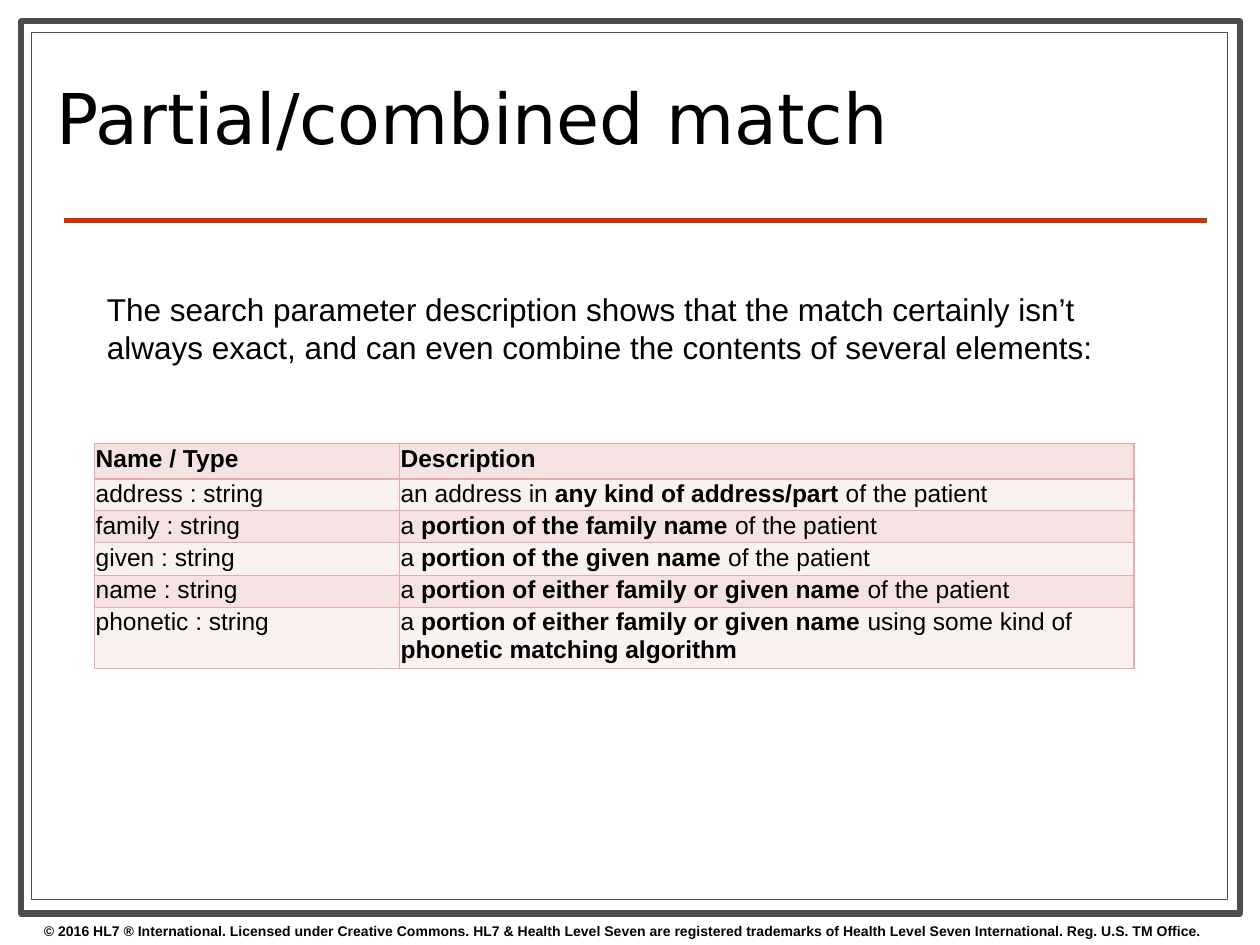
from lxml.etree import SubElement
from pptx import Presentation
from pptx.dml.color import RGBColor
from pptx.enum.shapes import MSO_CONNECTOR as LINE, MSO_SHAPE as SHAPE
from pptx.enum.text import MSO_ANCHOR as ANCHOR
from pptx.oxml.ns import qn
from pptx.util import Inches, Pt

# Content: in table cells, ** marks the bold parts
TITLE = "Partial/combined match"
INTRO = ("The search parameter description shows that the match certainly isn’t "
         "always exact, and can even combine the contents of several elements:")
FOOTER = ("© 2016 HL7 ® International. Licensed under Creative Commons. HL7 & Health "
          "Level Seven are registered trademarks of Health Level Seven International. "
          "Reg. U.S. TM Office.")
ROWS = [
    ("**Name / Type**", "**Description**"),
    ("address : string", "an address in **any kind of address/part** of the patient"),
    ("family : string", "a **portion of the family name** of the patient"),
    ("given : string", "a **portion of the given name** of the patient"),
    ("name : string", "a **portion of either family or given name** of the patient"),
    ("phonetic : string", "a **portion of either family or given name** using some kind of "
                          "**phonetic matching algorithm**"),
]
WIDTHS = [2.42, 5.83]
HEIGHTS = [0.28, 0.24, 0.24, 0.26, 0.24, 0.46]
BANDS = ["F4E3E2", "FAF1F1"]
BORDER = "E2ADAA"
FRAMES = [((0.17, 0.17, 9.67, 7.08), 3.5), ((0.25, 0.26, 9.49, 6.88), 0.75)]


def color(code):
    return RGBColor.from_string(code)


def style(run, size, bold=False, face="Arial"):
    font = run.font
    font.size, font.bold, font.name = Pt(size), bold, face
    font.color.rgb = color("000000")


def add_text(slide, box, text, size, bold=False, face="Arial"):
    frame = slide.shapes.add_textbox(*map(Inches, box)).text_frame
    frame.word_wrap = True
    frame.text = text
    style(frame.paragraphs[0].runs[0], size, bold, face)
    return frame


def add_edges(cell):
    props = cell._tc.get_or_add_tcPr()
    for i, side in enumerate(("lnL", "lnR", "lnT", "lnB")):
        edge = props.makeelement(qn("a:" + side), {"w": str(Pt(1))})
        fill = SubElement(edge, qn("a:solidFill"))
        SubElement(fill, qn("a:srgbClr"), val=BORDER)
        props.insert(i, edge)  # edges come before the fill


def fill_cell(cell, text, band):
    cell.margin_left = cell.margin_right = Inches(0.01)
    cell.margin_top = cell.margin_bottom = Inches(0.01)
    cell.fill.solid()
    cell.fill.fore_color.rgb = color(band)
    add_edges(cell)
    para = cell.text_frame.paragraphs[0]
    for i, part in enumerate(text.split("**")):
        if part:
            run = para.add_run()
            run.text = part
            style(run, 14, bold=i % 2 == 1)


def main():
    deck = Presentation()
    deck.slide_width, deck.slide_height = Inches(10), Inches(7.5)
    slide = deck.slides.add_slide(deck.slide_layouts[6])

    # Double frame
    for box, weight in FRAMES:
        frame = slide.shapes.add_shape(SHAPE.RECTANGLE, *map(Inches, box))
        frame.shadow.inherit = False
        frame.fill.solid()
        frame.fill.fore_color.rgb = color("FFFFFF")
        frame.line.color.rgb = color("4D4D4D")
        frame.line.width = Pt(weight)

    # Rule under the title
    rule = slide.shapes.add_connector(LINE.STRAIGHT, *map(Inches, (0.51, 1.75, 9.58, 1.75)))
    rule.line.color.rgb = color("CC3300")
    rule.line.width = Pt(3)
    SubElement(rule._element.spPr, qn("a:effectLst"))

    # Footer, title and intro
    add_text(slide, (0.25, 7.27, 10, 0.23), FOOTER, 8, bold=True)
    title = add_text(slide, (0.35, 0.36, 7.17, 1.26), TITLE, 40, face="DejaVu Sans")
    title.vertical_anchor = ANCHOR.MIDDLE
    title.paragraphs[0].line_spacing = 0.8
    add_text(slide, (0.75, 2.25, 8.67, 0.71), INTRO, 18)

    # Table of search parameters
    area = (0.75, 3.52, sum(WIDTHS), sum(HEIGHTS))
    table = slide.shapes.add_table(len(ROWS), len(WIDTHS), *map(Inches, area)).table
    for col, width in zip(table.columns, WIDTHS):
        col.width = Inches(width)
    for r, (row, height) in enumerate(zip(ROWS, HEIGHTS)):
        table.rows[r].height = Inches(height)
        for c, text in enumerate(row):
            fill_cell(table.cell(r, c), text, BANDS[r % 2])

    deck.save("out.pptx")


if __name__ == "__main__":
    main()
